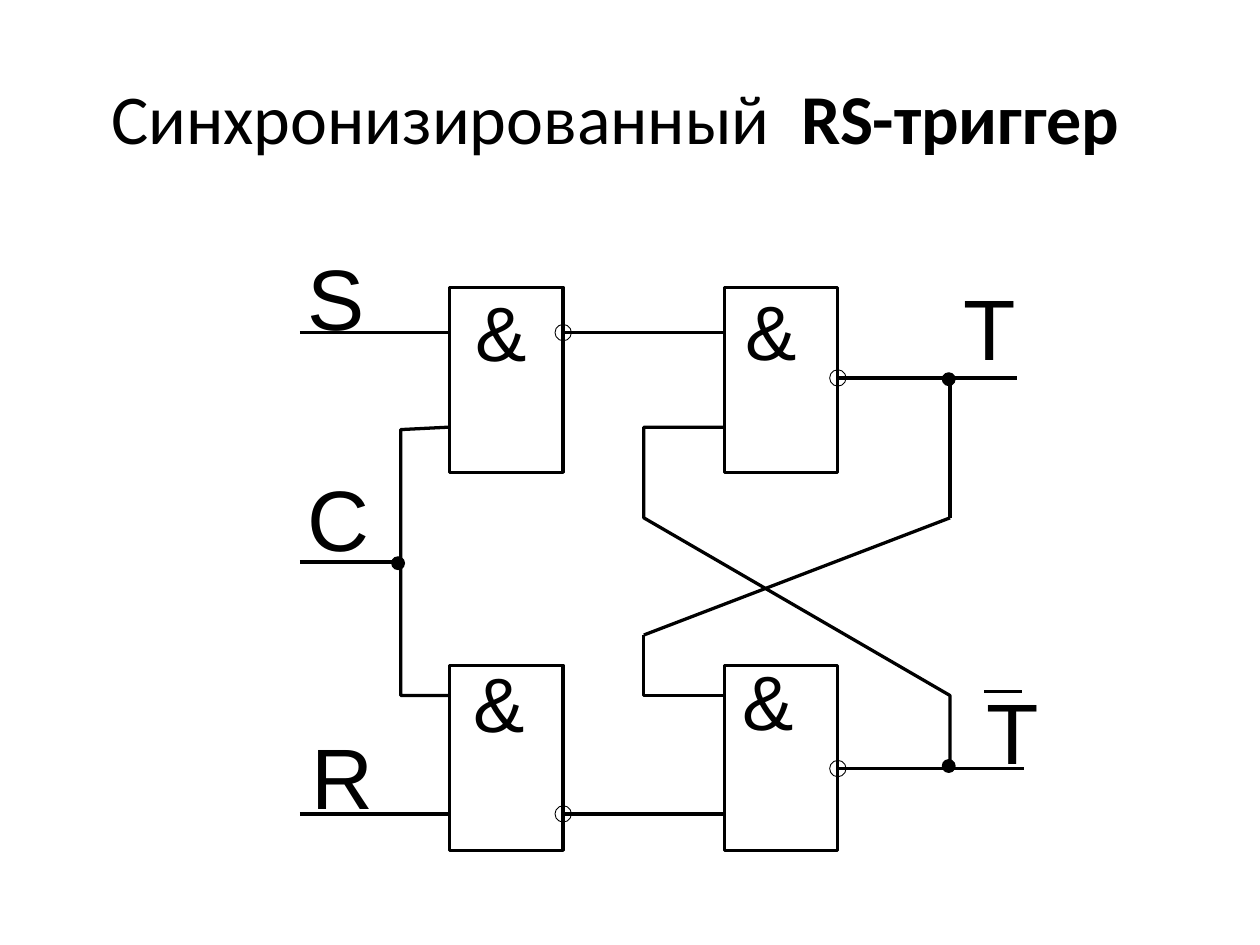
from lxml import etree
from pptx import Presentation
from pptx.dml.color import RGBColor
from pptx.enum.shapes import MSO_CONNECTOR, MSO_SHAPE as SHAPE
from pptx.enum.text import MSO_ANCHOR, PP_ALIGN
from pptx.oxml.ns import qn
from pptx.util import Inches, Pt

INK = "000000"
WIRE, RING, DOT = 1.87, 0.51, 0.74
GATE_W, GATE_H = 0.9, 1.47
LEFT, RIGHT = 3.57, 5.75
TOP, BOTTOM = 2.28, 5.28
LEFT_OUT, RIGHT_OUT = LEFT + GATE_W, RIGHT + GATE_W
IN_X, CLOCK_X, CROSS_X, TAP_X = 2.38, 3.18, 5.11, 7.54
SET_Y, CLOCK_Y, RESET_Y = 2.64, 4.46, 6.46
UPPER_Y, LOWER_Y = 3.39, 5.52
T_Y, NOT_T_Y = 3, 6.1
CROSS_TOP, CROSS_LOW = 4.11, 5.04

TITLE = [("Синхронизированный  ", False), ("RS-триггер", True)]
GATES = [(x, y) for x in (LEFT, RIGHT) for y in (TOP, BOTTOM)]
LINES = [
    (IN_X, SET_Y, LEFT, SET_Y),
    (IN_X, RESET_Y, LEFT, RESET_Y),
    (IN_X, CLOCK_Y, CLOCK_X, CLOCK_Y),
    (LEFT_OUT, SET_Y, RIGHT, SET_Y),
    (LEFT_OUT, RESET_Y, RIGHT, RESET_Y),
    (RIGHT_OUT, T_Y, 8.07, T_Y),
    (RIGHT_OUT, NOT_T_Y, 8.13, NOT_T_Y),
    (TAP_X, T_Y, TAP_X, CROSS_TOP),
    (TAP_X, CROSS_TOP, CROSS_X, CROSS_LOW),
    (7.81, 5.49, 8.11, 5.49),
]
PATHS = [
    [(LEFT, UPPER_Y), (CLOCK_X, 3.41), (CLOCK_X, LOWER_Y), (LEFT, LOWER_Y)],
    [(RIGHT, UPPER_Y), (CROSS_X, UPPER_Y), (CROSS_X, CROSS_TOP),
     (TAP_X, LOWER_Y), (TAP_X, NOT_T_Y)],
    [(CROSS_X, CROSS_LOW), (CROSS_X, LOWER_Y), (RIGHT, LOWER_Y)],
]
RINGS = [(LEFT_OUT, SET_Y), (LEFT_OUT, RESET_Y), (RIGHT_OUT, T_Y), (RIGHT_OUT, NOT_T_Y)]
DOTS = [(3.16, 4.47), (7.53, 3.01), (7.53, 6.08)]
SIGNALS = [("S", 2.44, 1.94), ("C", 2.44, 3.7), ("R", 2.47, 5.74),
           ("T", 7.65, 2.18), ("T", 7.83, 5.39)]
ANDS = [(3.77, 2.26), (3.76, 5.2), (5.92, 2.25), (5.89, 5.19)]


def rgb(color):
    return RGBColor.from_string(color)


def outline(sp, width):
    sp.line.color.rgb = rgb(INK)
    sp.line.width = Pt(width)


def style(sp, width, filled=False):
    sp.shadow.inherit = False
    outline(sp, width)
    if filled:
        sp.fill.solid()
        sp.fill.fore_color.rgb = rgb(INK)
    else:
        sp.fill.background()


def add_preset(kind, x, y, w, h, width, filled=False):
    sp = s.shapes.add_shape(kind, *map(Inches, (x, y, w, h)))
    style(sp, width, filled)


def add_circles(centres, d, width, filled=False):
    for x, y in centres:
        add_preset(SHAPE.OVAL, x - d / 2, y - d / 2, d, d, width, filled)


def add_line(*ends):
    line = s.shapes.add_connector(MSO_CONNECTOR.STRAIGHT, *map(Inches, ends))
    outline(line, WIRE)
    etree.SubElement(line._element.spPr, qn("a:effectLst"))


def add_path(points):
    (x, y), *rest = points
    builder = s.shapes.build_freeform(Inches(x), Inches(y))
    builder.add_line_segments([(Inches(a), Inches(b)) for a, b in rest], close=False)
    style(builder.convert_to_shape(), WIRE)


def set_font(r, name, size, bold=False):
    r.font.name, r.font.size, r.font.bold = name, Pt(size), bold
    r.font.color.rgb = rgb(INK)


def add_label(text, x, y, w, h, size):
    tf = s.shapes.add_textbox(*map(Inches, (x, y, w, h))).text_frame
    tf.margin_left = tf.margin_right = tf.margin_top = tf.margin_bottom = 0
    tf.word_wrap = False
    tf.text = text
    set_font(tf.paragraphs[0].runs[0], "Arial", size)


prs = Presentation()
prs.slide_width, prs.slide_height = Inches(10), Inches(7.5)
s = prs.slides.add_slide(prs.slide_layouts[6])

tf = s.shapes.add_textbox(*map(Inches, (0.5, 0.3, 9, 1.25))).text_frame
tf.word_wrap = True
tf.vertical_anchor = MSO_ANCHOR.MIDDLE
tf.margin_right = Inches(0.33)
p = tf.paragraphs[0]
p.alignment = PP_ALIGN.CENTER
for text, bold in TITLE:
    r = p.add_run()
    r.text = text
    set_font(r, "Calibri", 40, bold)

for x, y in GATES:
    add_preset(SHAPE.RECTANGLE, x, y, GATE_W, GATE_H, WIRE)
for ends in LINES:
    add_line(*ends)
for points in PATHS:
    add_path(points)
for text, x, y in SIGNALS:
    add_label(text, x, y, 1.1, 0.82, 49)
for x, y in ANDS:
    add_label("&", x, y, 0.45, 0.73, 44)
add_circles(DOTS, 0.1, DOT, True)
add_circles(RINGS, 0.13, RING)

prs.save("out.pptx")
